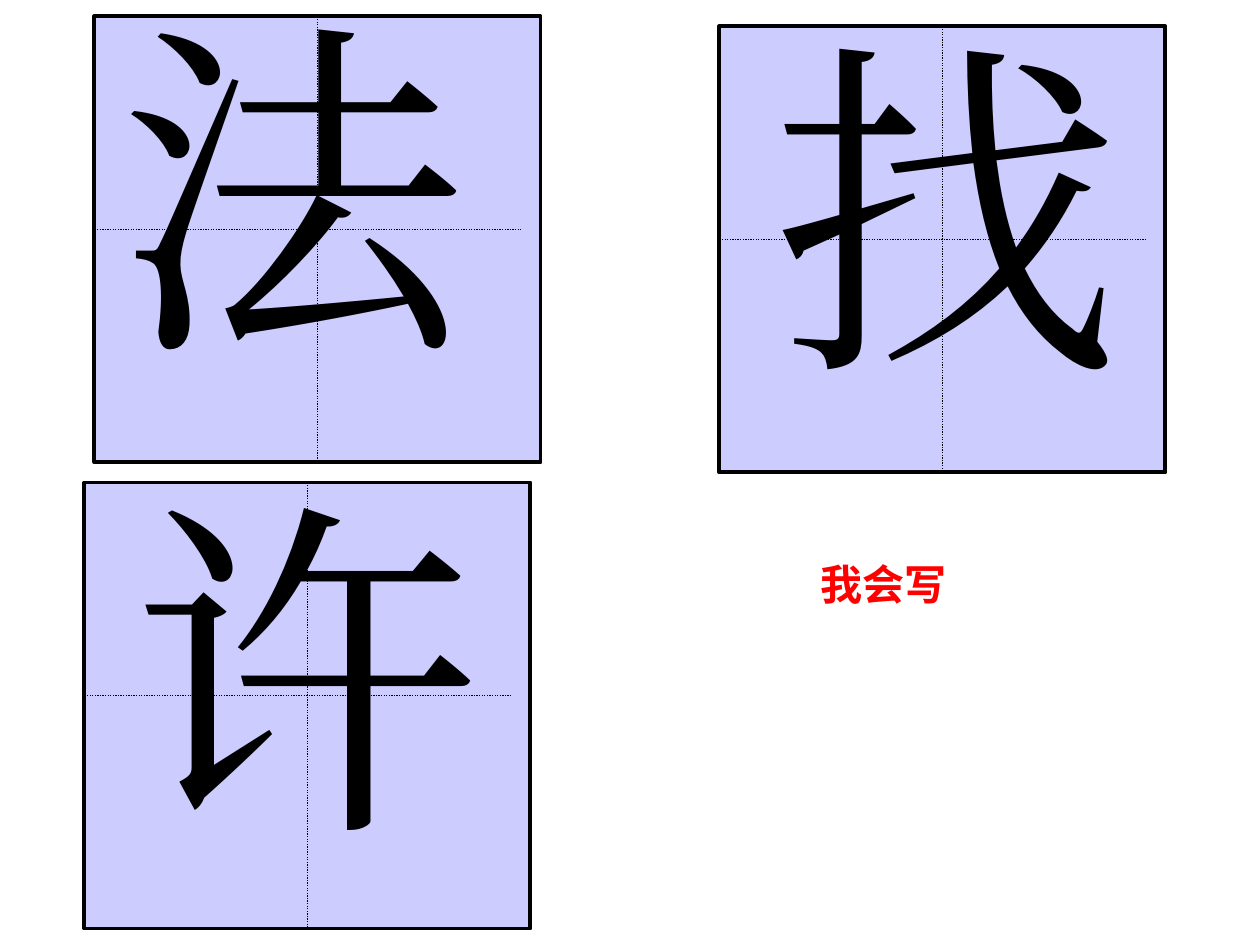
from lxml import etree
from pptx import Presentation
from pptx.dml.color import RGBColor
from pptx.enum.dml import MSO_LINE
from pptx.enum.shapes import MSO_CONNECTOR, MSO_SHAPE
from pptx.enum.text import MSO_ANCHOR, MSO_AUTO_SIZE, PP_ALIGN
from pptx.oxml.ns import qn
from pptx.util import Inches, Pt

BLACK = RGBColor(0x00, 0x00, 0x00)
LILAC = RGBColor(0xCC, 0xCC, 0xFF)
RED = RGBColor(0xFF, 0x00, 0x00)
RECT = MSO_SHAPE.RECTANGLE
STRAIGHT = MSO_CONNECTOR.STRAIGHT
DOTTED = MSO_LINE.ROUND_DOT
TOP = MSO_ANCHOR.TOP
GROW = MSO_AUTO_SIZE.SHAPE_TO_FIT_TEXT
FIXED = MSO_AUTO_SIZE.NONE
LEFT = PP_ALIGN.LEFT
CENTER = PP_ALIGN.CENTER

COLS, ROWS = 100, 75
SIDE = 35.4
ACROSS = 33.9
MIDDLE = 16.9


def write(frame, text, font="Times New Roman", size=200, color=BLACK,
          bold=False, align=LEFT):
    para = frame.paragraphs[0]
    para.alignment = align
    run = para.add_run()
    run.text = text
    run.font.name = font
    run.font.size = Pt(size)
    run.font.bold = bold
    run.font.color.rgb = color
    east = etree.SubElement(run.font._element, qn("a:ea"))
    east.set("typeface", font)


class Page:
    def __init__(self, deck):
        self.slide = deck.slides.add_slide(deck.slide_layouts[6])
        self.col = deck.slide_width / COLS
        self.row = deck.slide_height / ROWS

    def place(self, x, y):
        return round(x * self.col), round(y * self.row)

    def line(self, group, start, end):
        line = group.shapes.add_connector(
            STRAIGHT, *self.place(*start), *self.place(*end))
        line.line.color.rgb = BLACK
        line.line.width = Pt(0.75)
        line.line.dash_style = DOTTED
        etree.SubElement(line._element.spPr, qn("a:effectLst"))

    def square(self, x, y):
        group = self.slide.shapes.add_group_shape()
        box = group.shapes.add_shape(
            RECT, *self.place(x, y), *self.place(SIDE, SIDE))
        box.shadow.inherit = False
        box.fill.solid()
        box.fill.fore_color.rgb = LILAC
        box.line.color.rgb = BLACK
        box.line.width = Pt(2.25)
        self.line(group, (x, y + MIDDLE), (x + ACROSS, y + MIDDLE))
        self.line(group, (x + SIDE / 2, y), (x + SIDE / 2, y + SIDE))

    def text(self, text, x, y, wide, high, wrap=True, **style):
        box = self.slide.shapes.add_textbox(
            *self.place(x, y), *self.place(wide, high))
        frame = box.text_frame
        frame.word_wrap = wrap
        frame.auto_size = GROW if wrap else FIXED
        frame.vertical_anchor = TOP
        write(frame, text, **style)


def main():
    deck = Presentation()
    deck.slide_width = Inches(10)
    deck.slide_height = Inches(7.5)
    page = Page(deck)
    for sign, square, box in (
        ("找", (57.1, 2.1), (60.2, -1.1, 35, 34.4)),
        ("法", (7.5, 1.3), (8.3, -2.7, 31.5, 34.4)),
        ("许", (6.7, 38.3), (9.4, 35.5, 36.7, 34.4)),
    ):
        page.square(*square)
        page.text(sign, *box)
    page.text("我会写", 51.6, 43.8, 37, 26, wrap=False, size=24,
              font="Noto Sans CJK SC", color=RED, bold=True, align=CENTER)
    deck.save("out.pptx")


if __name__ == "__main__":
    main()
